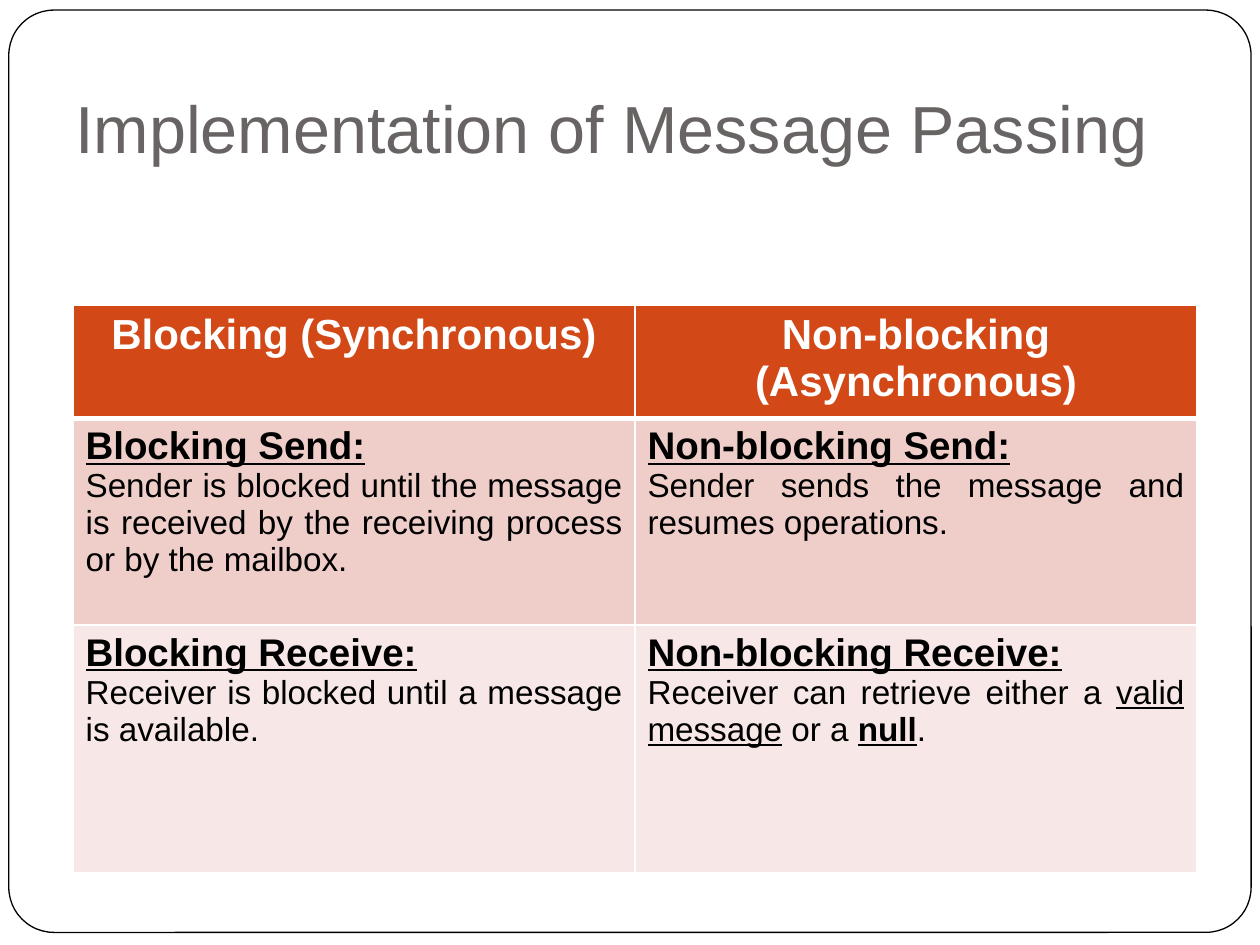
from lxml import etree
from pptx import Presentation
from pptx.dml.color import RGBColor
from pptx.enum.shapes import MSO_SHAPE as Shape
from pptx.enum.text import MSO_ANCHOR as Anchor, PP_ALIGN as Align
from pptx.oxml.ns import qn
from pptx.util import Inches, Pt

FONT = "Arial"
WHITE, BLACK, GREY, ORANGE = "FFFFFF", "000000", "696464", "D34817"
BAND_FILLS = ["EFCECA", "F7E8E7"]
HEADERS = ["Blocking (Synchronous)", "Non-blocking (Asynchronous)"]

# Each cell: a heading, then the spans of its description with their format
BODY = [
    [
        ("Blocking Send:", [
            ("Sender is blocked until the message is received by the "
             "receiving process or by the mailbox.", {})]),
        ("Non-blocking Send:", [
            ("Sender sends the message and resumes operations.", {})]),
    ],
    [
        ("Blocking Receive:", [
            ("Receiver is blocked until a message is available.", {})]),
        ("Non-blocking Receive:", [
            ("Receiver can retrieve either a ", {}),
            ("valid message", {"underline": True}),
            (" or a ", {}),
            ("null", {"bold": True, "underline": True}),
            (".", {})]),
    ],
]


def color(value):
    return RGBColor.from_string(value)


def add_span(para, text, size, fill=BLACK, bold=False, underline=False):
    span = para.add_run()
    span.text = text
    font = span.font
    font.name, font.size = FONT, Pt(size)
    font.bold, font.underline = bold, underline
    font.color.rgb = color(fill)


def add_frame(page):
    frame = page.shapes.add_shape(Shape.ROUNDED_RECTANGLE, Inches(0.07),
                                  Inches(0.08), Inches(9.86), Inches(7.32))
    frame.adjustments[0] = 0.049
    frame.shadow.inherit = False
    frame.fill.solid()
    frame.fill.fore_color.rgb = color(WHITE)
    frame.line.color.rgb = color(BLACK)
    frame.line.width = Pt(0.75)


def add_title(page, text):
    box = page.shapes.add_textbox(Inches(0.5), Inches(0.3),
                                  Inches(9), Inches(1.12))
    frame = box.text_frame
    frame.word_wrap = True
    frame.vertical_anchor = Anchor.BOTTOM
    frame.margin_bottom = Inches(0.1)
    add_span(frame.paragraphs[0], text, 38, GREY)


def style_cell(cell, fill, top=1, bottom=1):
    cell.fill.solid()
    cell.fill.fore_color.rgb = color(fill)
    # Borders must come before the fill
    props = cell._tc.get_or_add_tcPr()
    widths = {"a:lnL": 1, "a:lnR": 1, "a:lnT": top, "a:lnB": bottom}
    for place, (tag, width) in enumerate(widths.items()):
        line = etree.Element(qn(tag), w=str(Pt(width)))
        solid = etree.SubElement(line, qn("a:solidFill"))
        etree.SubElement(solid, qn("a:srgbClr"), val=WHITE)
        props.insert(place, line)


def add_comparison(page):
    columns, heights = [4.46, 4.46], [0.64, 1.64, 1.97]
    table = page.shapes.add_table(
        len(heights), len(columns), Inches(0.58), Inches(2.42),
        Inches(sum(columns)), Inches(sum(heights))).table
    for column, width in zip(table.columns, columns):
        column.width = Inches(width)
    for row, height in zip(table.rows, heights):
        row.height = Inches(height)

    # Header row
    for index, text in enumerate(HEADERS):
        cell = table.cell(0, index)
        style_cell(cell, ORANGE, bottom=3)
        para = cell.text_frame.paragraphs[0]
        para.alignment = Align.CENTER
        add_span(para, text, 24, WHITE, bold=True)

    # Send and receive rows
    for row, (contents, fill) in enumerate(zip(BODY, BAND_FILLS), start=1):
        for index, (heading, spans) in enumerate(contents):
            cell = table.cell(row, index)
            style_cell(cell, fill, top=3 if row == 1 else 1)
            frame = cell.text_frame
            add_span(frame.paragraphs[0], heading, 22,
                     bold=True, underline=True)
            para = frame.add_paragraph()
            para.alignment = Align.JUSTIFY
            for text, style in spans:
                add_span(para, text, 19, **style)


def main():
    deck = Presentation()
    deck.slide_width, deck.slide_height = Inches(10), Inches(7.5)
    page = deck.slides.add_slide(deck.slide_layouts[6])
    add_frame(page)
    add_title(page, "Implementation of Message Passing")
    add_comparison(page)
    deck.save("out.pptx")


if __name__ == "__main__":
    main()
